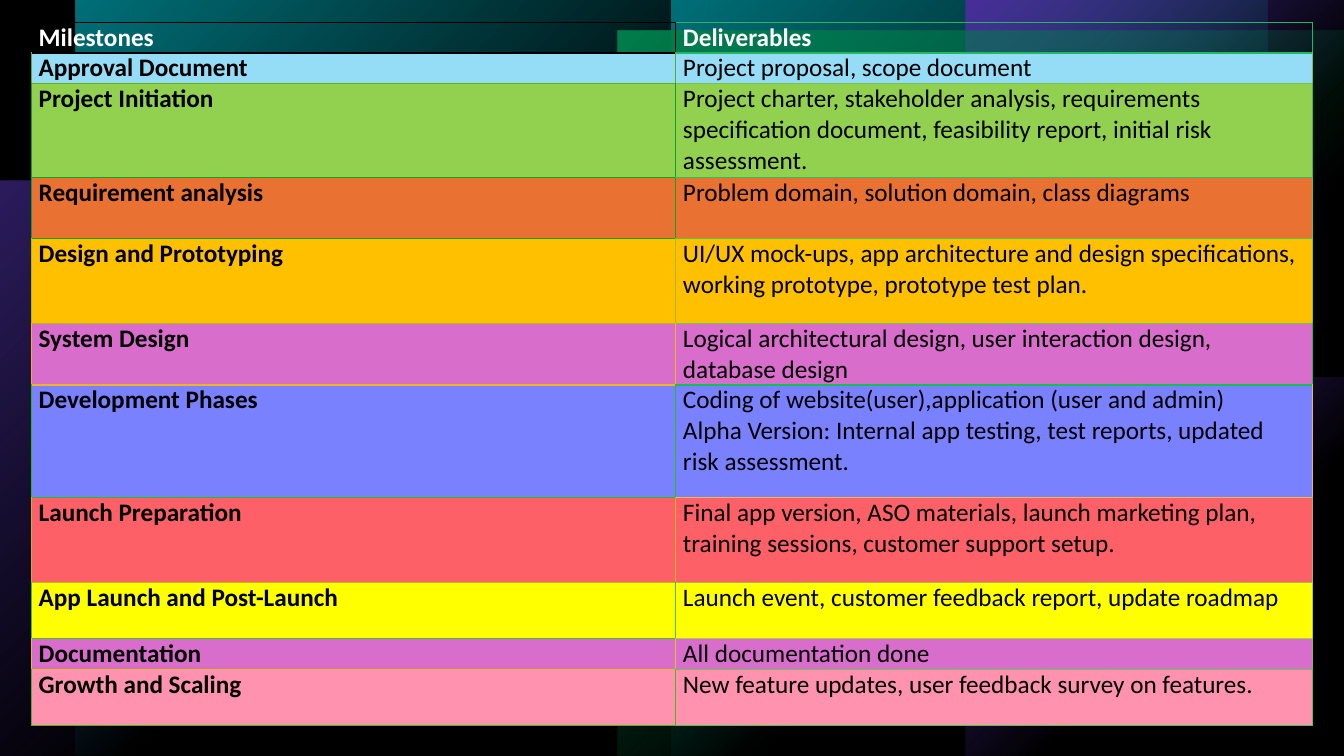
import pptx
import pptx.dml.color
import pptx.enum.shapes
import pptx.oxml
import pptx.oxml.ns
import pptx.util
from lxml import etree

RGBColor = pptx.dml.color.RGBColor
Shape = pptx.enum.shapes.MSO_SHAPE
qn = pptx.oxml.ns.qn

BLACK = RGBColor(0x00, 0x00, 0x00)
WHITE = RGBColor(0xFF, 0xFF, 0xFF)
PURPLE = RGBColor(0x79, 0x4D, 0xFF)
TEAL = RGBColor(0x00, 0xBA, 0xC8)
GREEN = RGBColor(0x00, 0xD1, 0x7D)
SKY = RGBColor(0x95, 0xDC, 0xF7)
LIME = RGBColor(0x92, 0xD0, 0x50)
ORANGE = RGBColor(0xE9, 0x71, 0x32)
AMBER = RGBColor(0xFF, 0xC0, 0x00)
ORCHID = RGBColor(0xD8, 0x6D, 0xCB)
PERIWINKLE = RGBColor(0x7A, 0x81, 0xFF)
CORAL = RGBColor(0xFD, 0x61, 0x67)
YELLOW = RGBColor(0xFF, 0xFF, 0x00)
PINK = RGBColor(0xFF, 0x92, 0xAE)

# Left, top, width and height as percentages of the slide; then colour and opacity.
LOWER_LEFT_GLOW = (0, 23.87, 42.84, 76.13), PURPLE, 60
GREEN_ORB = (52.36, 0, 35.41, 62.93), GREEN, 96
PURPLE_ORB = (50.19, 18, 45.16, 80.27), PURPLE, 60
CORNER_GLOWS = [
    ((49.96, 0, 44.34, 100), TEAL, 100),
    ((5.63, 0, 44.34, 100), TEAL, 100),
    ((71.87, 50, 28.13, 50), PURPLE, 100),
    ((71.87, 0, 28.13, 50), PURPLE, 100),
    ((45.99, 4, 54.01, 96), GREEN, 100),
]

# Milestone, deliverables, height in text lines, fill, milestone border, deliverables border.
MILESTONES = [
    ("Milestones", "Deliverables", 1, None, "000000", "20B962"),
    ("Approval Document", "Project proposal, scope document", 1, SKY, "60AE1F", "70C450"),
    ("Project Initiation",
     "Project charter, stakeholder analysis, requirements specification document, "
     "feasibility report, initial risk assessment.", 3.32, LIME, "10A41F", "30BF50"),
    ("Requirement analysis", "Problem domain, solution domain, class diagrams",
     2.18, ORANGE, "10A41F", "50C550"),
    ("Design and Prototyping",
     "UI/UX mock-ups, app architecture and design specifications, "
     "working prototype, prototype test plan.", 3, AMBER, "B0B81F", "70C450"),
    ("System Design",
     "Logical architectural design, user interaction design, database design",
     2, ORCHID, "F0B41F", "10C050"),
    ("Development Phases",
     "Coding of website(user),application (user and admin)\n"
     "Alpha Version: Internal app testing, test reports, updated risk assessment.",
     4, PERIWINKLE, "20C11F", "F0B950"),
    ("Launch Preparation",
     "Final app version, ASO materials, launch marketing plan, "
     "training sessions, customer support setup.", 3, CORAL, "C0B71F", "A0B850"),
    ("App Launch and Post-Launch", "Launch event, customer feedback report, update roadmap",
     2, YELLOW, "40C41F", "B0C950"),
    ("Documentation", "All documentation done", 1, ORCHID, "E0BF1F", "70C450"),
    ("Growth and Scaling", "New feature updates, user feedback survey on features.",
     2, PINK, "50B41F", "50C550"),
]


class SlideBuilder:
    font_name = "Calibri"
    font_size = pptx.util.Pt(18)
    line_share = 3.73
    cell_margin = 0.55
    hanging_indent = 2.81

    def __init__(self, presentation):
        self.width = presentation.slide_width
        self.height = presentation.slide_height
        self.slide = presentation.slides.add_slide(presentation.slide_layouts[6])
        self.slide.background.fill.solid()
        self.slide.background.fill.fore_color.rgb = BLACK

    def across(self, percent):
        return round(self.width * percent / 100)

    def down(self, percent):
        return round(self.height * percent / 100)

    def panel(self, kind, box, color, opacity):
        left, top, width, height = box
        shape = self.slide.shapes.add_shape(
            kind, self.across(left), self.down(top), self.across(width), self.down(height))
        shape.shadow.inherit = False
        shape.line.fill.background()
        shape.fill.solid()
        shape.fill.fore_color.rgb = color
        color_element = shape._element.spPr.find(qn("a:solidFill"))[0]
        etree.SubElement(color_element, qn("a:alpha"), val=str(opacity * 1000))
        return shape

    def orb(self, box, color, opacity):
        shape = self.panel(Shape.OVAL, box, color, opacity)
        effects = shape._element.spPr.find(qn("a:effectLst"))
        etree.SubElement(effects, qn("a:softEdge"), rad=str(self.across(9)))

    def glow(self, box, color, opacity):
        """Draw a rectangle that fades out from its top left corner."""
        properties = self.panel(Shape.RECTANGLE, box, color, opacity)._element.spPr
        stops = "".join(
            f'<a:gs pos="{position}"><a:srgbClr val="{color}">'
            f'<a:alpha val="{alpha}"/></a:srgbClr></a:gs>'
            for position, alpha in ((0, opacity * 1000), (60000, 0)))
        gradient = pptx.oxml.parse_xml(
            f'<a:gradFill {pptx.oxml.ns.nsdecls("a")}><a:gsLst>{stops}</a:gsLst>'
            '<a:path path="circle"><a:fillToRect r="100000" b="100000"/></a:path></a:gradFill>')
        properties.replace(properties.find(qn("a:solidFill")), gradient)

    def cell(self, cell, text, fill, bold, borders, indented):
        """Fill and style a cell; borders are left, right, top, bottom colours."""
        cell.margin_left = cell.margin_right = self.across(self.cell_margin)
        cell.margin_top = cell.margin_bottom = 0
        cell.text = text
        for paragraph in cell.text_frame.paragraphs:
            if indented:
                indent = self.across(self.hanging_indent)
                properties = paragraph._p.get_or_add_pPr()
                properties.set("marL", str(indent))
                properties.set("indent", str(-indent))
            paragraph.font.name = self.font_name
            paragraph.font.size = self.font_size
            paragraph.font.bold = bold
            paragraph.font.color.rgb = BLACK if fill else WHITE
        if fill:
            cell.fill.solid()
            cell.fill.fore_color.rgb = fill
        else:
            cell.fill.background()
        properties = cell._tc.get_or_add_tcPr()
        for position, (side, color) in enumerate(zip("LRTB", borders)):
            properties.insert(position, pptx.oxml.parse_xml(
                f'<a:ln{side} {pptx.oxml.ns.nsdecls("a")} w="12700"><a:solidFill>'
                f'<a:srgbClr val="{color}"/></a:solidFill></a:ln{side}>'))

    def milestone_table(self, left, top, column_widths, rows):
        """Each row takes its top border from the row above."""
        row_heights = [self.down(row[2] * self.line_share) for row in rows]
        table = self.slide.shapes.add_table(
            len(rows), len(column_widths), self.across(left), self.down(top),
            self.across(sum(column_widths)), sum(row_heights)).table
        table.first_row = table.horz_banding = False
        for column, width in zip(table.columns, column_widths):
            column.width = self.across(width)
        upper_first, upper_second = rows[0][4:]
        for index, (milestone, deliverables, _, fill, first, second) in enumerate(rows):
            table.rows[index].height = row_heights[index]
            is_header = index == 0
            self.cell(table.cell(index, 0), milestone, fill, True,
                      (first, first, upper_first, first), not is_header)
            self.cell(table.cell(index, 1), deliverables, fill, is_header,
                      (first, second, upper_second, second), False)
            upper_first, upper_second = first, second


def main():
    presentation = pptx.Presentation()
    presentation.slide_width = pptx.util.Inches(13.33)
    presentation.slide_height = pptx.util.Inches(7.5)
    builder = SlideBuilder(presentation)
    builder.glow(*LOWER_LEFT_GLOW)
    builder.orb(*GREEN_ORB)
    builder.orb(*PURPLE_ORB)
    for corner_glow in CORNER_GLOWS:
        builder.glow(*corner_glow)
    builder.panel(Shape.RECTANGLE, (0, 0, 100, 100), BLACK, 40)
    builder.milestone_table(2.33, 2.93, (47.94, 47.41), MILESTONES)
    presentation.save("out.pptx")


if __name__ == "__main__":
    main()
